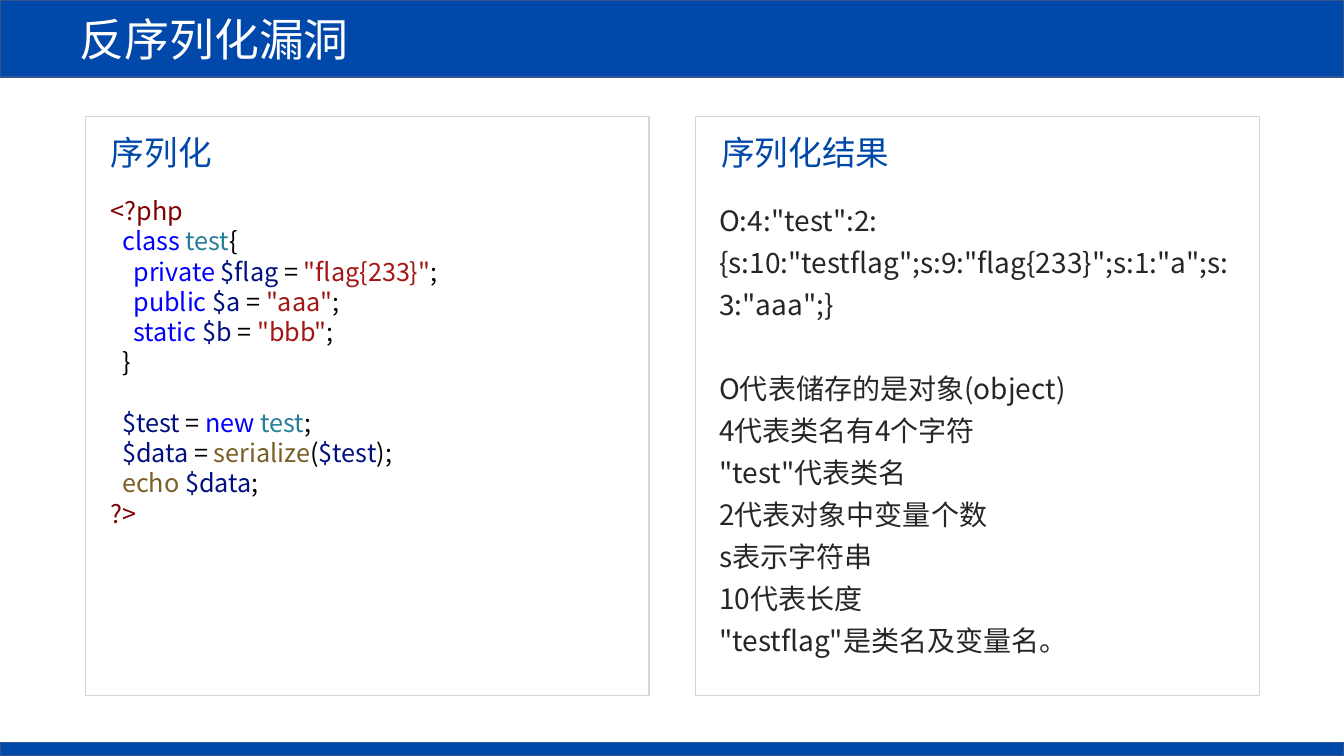
import pptx
import pptx.util
import pptx.dml.color
import pptx.enum.shapes
import pptx.enum.text
import pptx.oxml.ns
import lxml.etree
from dataclasses import dataclass

Pt = pptx.util.Pt


@dataclass(frozen=True)
class Theme:
    font: str = "Noto Sans CJK SC"
    blue: str = "0048AA"
    edge: str = "325491"
    frame: str = "D6D6D6"
    white: str = "FFFFFF"
    body: str = "262626"
    tag: str = "800000"
    keyword: str = "0000FF"
    type_name: str = "267F99"
    variable: str = "001080"
    string: str = "A31515"
    function: str = "795E26"
    plain: str = "000000"
    title_size: int = 32
    heading_size: int = 24
    result_size: int = 20
    code_size: int = 18


THEME = Theme()
TITLE = "反序列化漏洞"


def declaration(keyword, name, value):
    return [(f"    {keyword} ", THEME.keyword), (name, THEME.variable), (" = ", THEME.plain),
            (value, THEME.string), (";", THEME.plain)]


CODE = [
    [("<?php", THEME.tag)],
    [("  class ", THEME.keyword), ("test", THEME.type_name), ("{", THEME.plain)],
    declaration("private", "$flag", '"flag{233}"'),
    declaration("public", "$a", '"aaa"'),
    declaration("static", "$b", '"bbb"'),
    [("  }", THEME.plain)],
    [("  $test", THEME.variable), (" = ", THEME.plain), ("new ", THEME.keyword),
     ("test", THEME.type_name), (";", THEME.plain)],
    [("  $data", THEME.variable), (" = ", THEME.plain), ("serialize", THEME.function),
     ("(", THEME.plain), ("$test", THEME.variable), (");", THEME.plain)],
    [("  echo ", THEME.function), ("$data", THEME.variable), (";", THEME.plain)],
    [("?>", THEME.tag)],
]
RESULT = [[(line, THEME.body)] for line in (
    'O:4:"test":2:{s:10:"testflag";s:9:"flag{233}";s:1:"a";s:3:"aaa";}',
    "O代表储存的是对象(object)",
    "4代表类名有4个字符",
    '"test"代表类名',
    "2代表对象中变量个数",
    "s表示字符串",
    "10代表长度",
    '"testflag"是类名及变量名。',
)]
PANELS = [
    dict(heading="序列化", lines=CODE, size=THEME.code_size, spacing=1, gap_line=6, gap=21.6, shift=0),
    dict(heading="序列化结果", lines=RESULT, size=THEME.result_size, spacing=1.25, gap_line=1, gap=30, shift=-1.5),
]

WIDTH, HEIGHT = 960, 540
BAND_HEIGHT, FOOT_HEIGHT = 55, 9.5
PANEL_LEFT, PANEL_TOP, PANEL_WIDTH, PANEL_HEIGHT = 61, 83, 402.5, 414
PANEL_STEP = 436
TEXT_INSET, TEXT_WIDTH = 11, 380


def rgb(value):
    return pptx.dml.color.RGBColor.from_string(value)


def place(shape, left, top, width, height):
    shape.left, shape.top, shape.width, shape.height = map(Pt, (left, top, width, height))


def paint(shape, fill, line):
    if fill:
        shape.fill.solid()
        shape.fill.fore_color.rgb = rgb(fill)
    else:
        shape.fill.background()
    shape.line.color.rgb = rgb(line)
    shape.line.width = Pt(1)


def add_rectangle(slide, box, fill, line):
    shape = slide.shapes.add_shape(pptx.enum.shapes.MSO_SHAPE.RECTANGLE, *map(Pt, box))
    shape.shadow.inherit = False
    paint(shape, fill, line)


def write(shape, lines, size, spacing=1, gap_line=None, gap=0, middle=False):
    frame = shape.text_frame
    frame.word_wrap = True
    frame.auto_size = pptx.enum.text.MSO_AUTO_SIZE.NONE
    anchor = pptx.enum.text.MSO_ANCHOR
    frame.vertical_anchor = anchor.MIDDLE if middle else anchor.TOP
    for number, runs in enumerate(lines):
        paragraph = frame.paragraphs[0] if number == 0 else frame.add_paragraph()
        paragraph.alignment = pptx.enum.text.PP_ALIGN.LEFT
        paragraph.line_spacing = spacing
        paragraph.space_before = Pt(gap if number == gap_line else 0)
        paragraph.space_after = Pt(0)
        properties = paragraph._p.get_or_add_pPr()
        properties.set("marL", "0")
        properties.set("indent", "0")
        lxml.etree.SubElement(properties, pptx.oxml.ns.qn("a:buNone"))
        font = paragraph.font
        font.size, font.bold, font.name = Pt(size), False, THEME.font
        if len(runs) == 1:
            font.color.rgb = rgb(runs[0][1])
        defaults = properties.find(pptx.oxml.ns.qn("a:defRPr"))
        lxml.etree.SubElement(defaults, pptx.oxml.ns.qn("a:ea"), typeface=THEME.font)
        for text, color in runs:
            run = paragraph.add_run()
            run.text = text
            if len(runs) > 1:
                run.font.color.rgb = rgb(color)


def main():
    presentation = pptx.Presentation()
    presentation.slide_width, presentation.slide_height = Pt(WIDTH), Pt(HEIGHT)
    slide = presentation.slides.add_slide(presentation.slide_layouts.get_by_name("Comparison"))
    title, *bodies = slide.placeholders

    place(title, 0, 0, WIDTH, BAND_HEIGHT)
    paint(title, THEME.blue, THEME.edge)
    write(title, [[(TITLE, THEME.white)]], THEME.title_size, middle=True)
    title.text_frame.margin_left = Pt(57)
    add_rectangle(slide, (0, HEIGHT - FOOT_HEIGHT, WIDTH, FOOT_HEIGHT), THEME.blue, THEME.edge)

    for column, panel in enumerate(PANELS):
        left = PANEL_LEFT + column * PANEL_STEP
        add_rectangle(slide, (left, PANEL_TOP, PANEL_WIDTH, PANEL_HEIGHT), None, THEME.frame)
        heading, body = bodies[2 * column:2 * column + 2]
        place(heading, left + TEXT_INSET, 90.5, TEXT_WIDTH, 36)
        write(heading, [[(panel["heading"], THEME.blue)]], THEME.heading_size)
        place(body, left + TEXT_INSET + panel["shift"], 136, TEXT_WIDTH, 350)
        write(body, panel["lines"], panel["size"], panel["spacing"], panel["gap_line"], panel["gap"])

    presentation.save("out.pptx")


if __name__ == "__main__":
    main()
